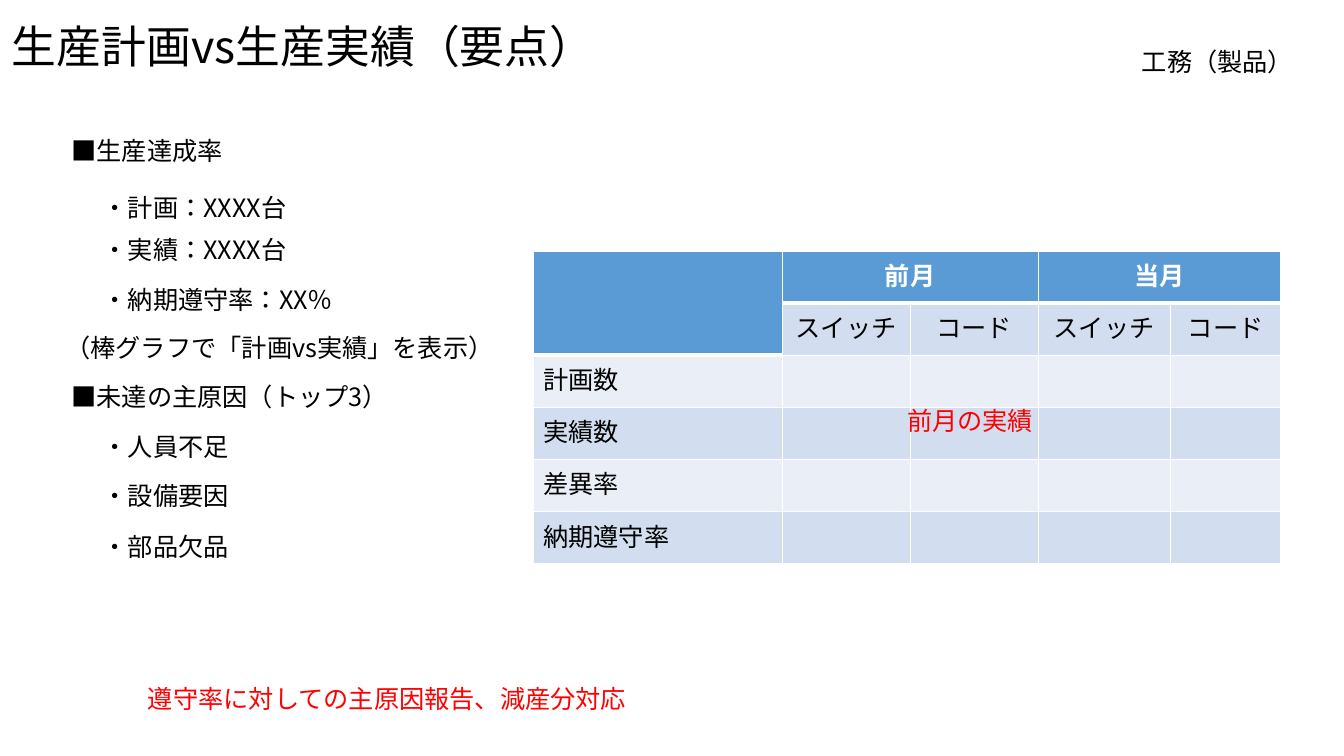
from lxml.etree import SubElement as add_element
from pptx import Presentation
from pptx.dml.color import RGBColor
from pptx.enum.lang import MSO_LANGUAGE_ID as Language
from pptx.enum.text import MSO_AUTO_SIZE as AutoSize, PP_ALIGN as Align
from pptx.oxml.ns import qn
from pptx.util import Inches, Pt

COLORS = {
    "text": "000000", "note": "FF0000", "white": "FFFFFF",
    "header": "5B9BD5", "dark_band": "D2DEEF", "light_band": "EAEFF7",
}
JAPANESE_FONT = "Noto Sans CJK JP"
LATIN_FONT = "Calibri"


class SlideBuilder:
    """Places elements on a grid of 40 columns and 30 rows."""

    def __init__(self, presentation):
        self.slide = presentation.slides.add_slide(presentation.slide_layouts[6])
        self.column = presentation.slide_width / 40
        self.row = presentation.slide_height / 30

    def grid(self, left, top, width, height):
        return (round(left * self.column), round(top * self.row),
                round(width * self.column), round(height * self.row))

    def styled_run(self, paragraph, text, color="text", **changes):
        run = paragraph.add_run()
        run.text = text
        values = {"name": JAPANESE_FONT, "size": Pt(18), "bold": False,
                  "language_id": Language.JAPANESE} | changes
        for name, value in values.items():
            setattr(run.font, name, value)
        run.font.color.rgb = RGBColor.from_string(COLORS[color])
        add_element(run.font._element, qn("a:ea"), typeface=JAPANESE_FONT)

    def text(self, text, left, top, width=13.71, height=1.6, **style):
        frame = self.slide.shapes.add_textbox(*self.grid(left, top, width, height)).text_frame
        for name, value in {"word_wrap": True, "auto_size": AutoSize.SHAPE_TO_FIT_TEXT}.items():
            setattr(frame, name, value)
        paragraph = frame.paragraphs[0]
        paragraph.line_spacing = 0.83
        self.styled_run(paragraph, text, **style)

    def borders(self, cell, bottom):
        properties = cell._tc.get_or_add_tcPr()
        for position, (side, points) in enumerate(
                {"lnL": 1, "lnR": 1, "lnT": 1, "lnB": bottom}.items()):
            line = properties.makeelement(qn(f"a:{side}"), {"w": str(Pt(points))})
            fill = add_element(line, qn("a:solidFill"))
            add_element(fill, qn("a:srgbClr"), val=COLORS["white"])
            properties.insert(position, line)

    def table(self, texts, left, top, widths, row_height, merges):
        area = self.grid(left, top, sum(widths), row_height * len(texts))
        table = self.slide.shapes.add_table(len(texts), len(widths), *area).table
        table.first_row = table.horz_banding = False
        for column, width in zip(table.columns, widths):
            column.width = round(width * self.column)
        for row_index, row in enumerate(texts):
            for column_index, text in enumerate(row):
                cell = table.cell(row_index, column_index)
                corner = column_index == 0 and row_index < 2
                header = row_index == 0 or corner
                band = "dark_band" if row_index % 2 else "light_band"
                cell.fill.solid()
                cell.fill.fore_color.rgb = RGBColor.from_string(
                    COLORS["header" if header else band])
                self.borders(cell, bottom=3 if header else 1)
                if text:
                    paragraph = cell.text_frame.paragraphs[0]
                    paragraph.alignment = Align.CENTER if row_index < 2 else Align.LEFT
                    self.styled_run(paragraph, text, "white" if header else "text",
                                    name=LATIN_FONT, bold=header)
        for start, end in merges:
            table.cell(*start).merge(table.cell(*end))


def main():
    presentation = Presentation()
    presentation.slide_width, presentation.slide_height = Inches(13.33), Inches(7.5)
    builder = SlideBuilder(presentation)

    # Title and department
    builder.text("生産計画vs生産実績（要点）", 0.06, 0.92, 18.36, 2.56, size=Pt(32))
    builder.text("工務（製品）", 33.69, 1.84, 5.46, name=LATIN_FONT)

    # Achievement rate and main causes
    heading, item, remark = 1.83, 2.76, 1.65
    for text, left, top in (
        ("■生産達成率", heading, 5.36),
        ("・計画：XXXX台", item, 7.64),
        ("・実績：XXXX台", item, 9.32),
        ("・納期遵守率：XX％", item, 11.28),
        ("（棒グラフで「計画vs実績」を表示）", remark, 13.2),
        ("■未達の主原因（トップ3）", heading, 15.12),
        ("・人員不足", item, 17.12),
        ("・設備要因", item, 19.08),
        ("・部品欠品", item, 21.08),
    ):
        builder.text(text, left, top)

    # Monthly comparison table
    labels = ("計画数", "実績数", "差異率", "納期遵守率")
    builder.table(
        [["", "前月", "", "当月", ""], [""] + ["スイッチ", "コード"] * 2]
        + [[label] + [""] * 4 for label in labels],
        15.87, 9.96, (7.41, 3.81, 3.81, 3.93, 3.3), 2.07,
        merges=(((0, 0), (1, 0)), ((0, 1), (0, 2)), ((0, 3), (0, 4))),
    )

    # Red notes
    builder.text("前月の実績", 26.7, 16.08, 9.27, color="note")
    builder.text("遵守率に対しての主原因報告、減産分対応", 4.11, 27.12, 16.41, color="note")

    presentation.save("out.pptx")


if __name__ == "__main__":
    main()
